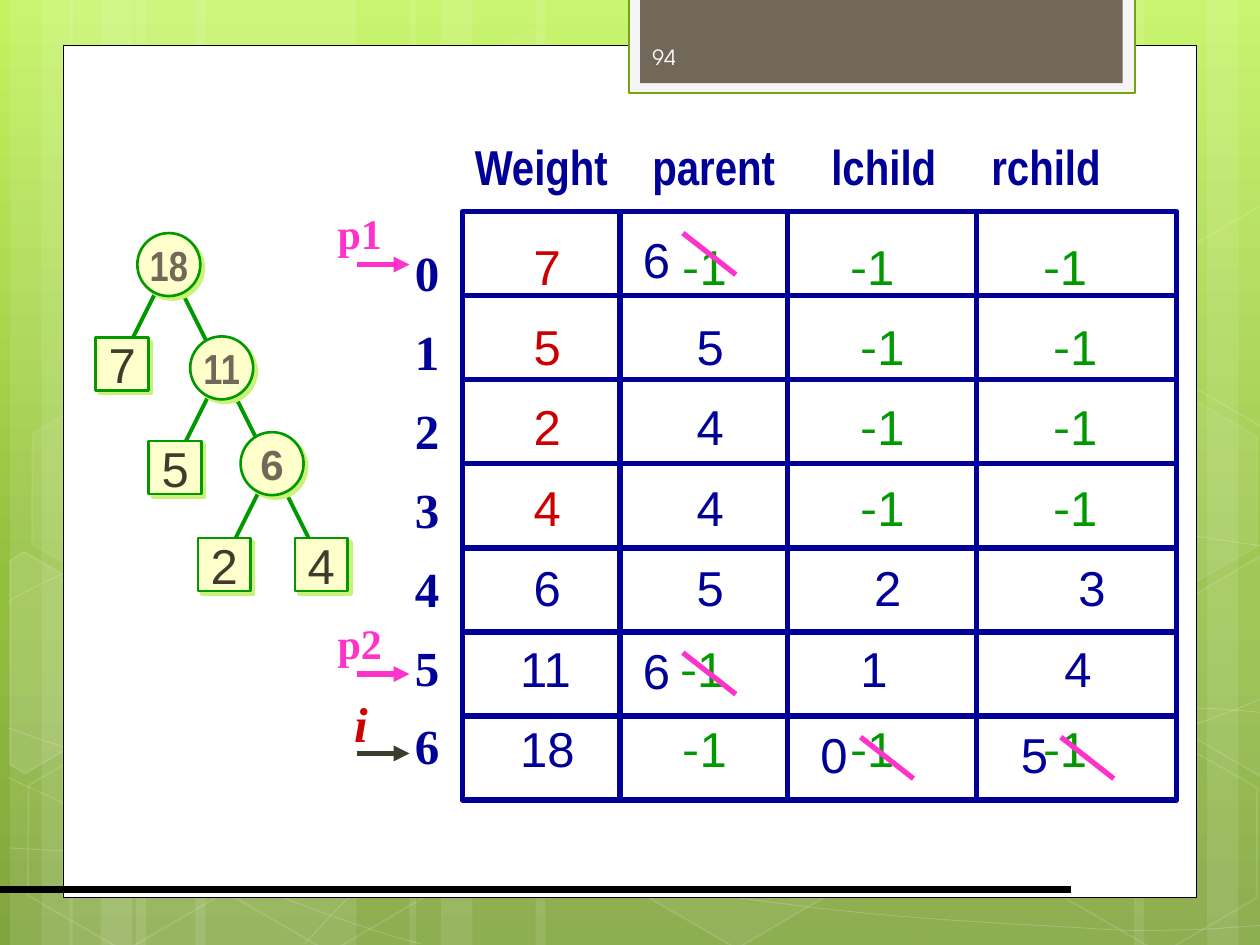
from lxml.etree import SubElement
from pptx import Presentation
from pptx.dml.color import RGBColor
from pptx.enum.shapes import MSO_CONNECTOR, MSO_SHAPE
from pptx.enum.text import MSO_ANCHOR, PP_ALIGN
from pptx.oxml.ns import qn
from pptx.util import Inches, Pt

NAVY, GREEN, RED, PINK, DARK, TAUPE = "000099", "009900", "CC0000", "FF33CC", "3E3D2D", "71685A"
WHITE, CREAM, LIME = "FFFFFF", "FFFFCC", "CAF278"

BACKGROUND = [(0, "C3F35F"), (62, "93BF3F"), (100, "81A53E")]
STRIPES = [(1.08, 1.75), (0.08, 0.5), (0.33, 0.83), (1.55, 1.75), (0.55, 0.5), (0.8, 0.83),
           (7.33, 1.75), (9.58, 0.5), (9, 0.83), (4.25, 3.08), (3.25, 0.5), (3.5, 0.83)]
CURVES = [
    [(0.07, 6.73), (0.61, 6.76), (1.15, 6.79), (1.9, 6.78), (2.65, 6.77), (3.58, 6.75), (4.58, 6.65),
     (5.58, 6.55), (7, 6.36), (7.92, 6.17), (8.83, 5.98), (9.77, 5.68), (10.07, 5.51)],
    [(0.07, 4.77), (0.36, 4.61), (0.65, 4.46), (1.21, 4.31), (1.78, 4.16), (2.59, 3.94), (3.47, 3.87),
     (4.36, 3.8), (5.44, 3.79), (6.54, 3.87), (7.64, 3.95), (9.47, 4.26), (10.07, 4.34)],
    [(0.06, 6.17), (1.27, 6.72), (2.47, 7.27), (3.34, 7.49)],
    [(0.07, 5.78), (0.38, 5.89), (0.7, 6), (1.28, 6.16), (1.86, 6.31), (2.73, 6.56), (3.57, 6.73),
     (4.4, 6.9), (5.45, 7.08), (6.28, 7.18), (7.11, 7.29), (8, 7.33), (8.53, 7.36),
     (9.05, 7.4), (9.19, 7.38), (9.45, 7.38), (9.71, 7.37), (9.89, 7.35), (10.07, 7.34)],
    [(2.42, 7.49), (2.6, 7.29), (2.78, 7.09), (3.02, 6.91), (3.26, 6.73), (3.6, 6.53), (3.88, 6.39),
     (4.16, 6.25), (4.33, 6.19), (4.7, 6.09), (5.06, 5.99), (5.73, 5.85), (6.08, 5.78),
     (6.44, 5.71), (6.49, 5.71), (6.8, 5.69), (7.11, 5.66), (7.6, 5.63), (7.94, 5.62),
     (8.29, 5.61), (8.86, 5.62), (8.86, 5.62), (9.1, 5.62), (9.3, 5.62), (9.53, 5.62),
     (9.71, 5.63), (9.88, 5.64), (10.06, 5.66)],
]
HEXAGONS = [(3.34, 0.36, 4, 8), (4.97, 5.89, 6, 12), (0.11, 5.91, 0, 12), (0.14, 3.12, 7, 8),
            (1.74, 5.92, 0, 12), (7.53, 4.53, 10, 12), (8.34, 5.93, 0, 12), (8.34, 3.14, 7, 8)]
CUT_HEXAGONS = [
    (10, [(0.08, 4.45), (0.19, 4.38), (0.96, 4.82), (0.95, 5.7), (0.2, 6.14), (0.08, 6.07)]),
    (4, [(9.26, 4.85), (10.01, 4.41), (10.09, 4.46), (10.09, 6.13), (10.02, 6.17), (9.26, 5.73)]),
    (0, [(9.26, 2.07), (10.01, 1.63), (10.1, 1.68), (10.09, 3.35), (10.02, 3.39), (9.26, 2.95)]),
]
PARENTS = [("18", 1.34, 2.1, "Arial Narrow"), ("11", 1.76, 2.92, "Arial Narrow"), ("6", 2.16, 3.68, "Arial")]
LEAVES = [("7", 0.97, 2.89), ("5", 1.39, 3.71), ("2", 1.78, 4.48), ("4", 2.55, 4.48)]

HEADERS, HEADER_TABS = ["Weight", "parent", "lchild", "rchild"], [1.41, 2.83, 4.1]
GRID_LEFT, GRID_TOP, GRID_WIDTH, GRID_HEIGHT = 3.67, 1.68, 5.67, 4.67
COLUMN_EDGES = [4.92, 6.25, 7.75]
EMPTY_TABS = [1.29, 2.62, 4.15]
LEAF_TABS = [1.4, 2.7, 4.23]
ROWS = [
    ([" 7", "-1", "-1", "-1"], EMPTY_TABS),
    ([" 5", "5", "-1", "-1"], LEAF_TABS),
    ([" 2", "4", "-1", "-1"], LEAF_TABS),
    ([" 4", "4", "-1", "-1"], LEAF_TABS),
    ([" 6", "5", "2", "3"], [1.4, 2.81, 4.43]),
    (["11", "-1", "1", "4"], [1.27, 2.7, 4.32]),
    (["18", "-1", "-1", "-1"], EMPTY_TABS),
]
LEAF_COUNT = 4
STRIKES = [(5.42, 1.85), (5.42, 5.18), (6.83, 5.85), (8.42, 5.85)]
UPDATES = [("6", 5, 1.77), ("6", 5, 5.03), ("0", 6.41, 5.7), ("5", 8, 5.7)]
POINTERS = [("p1", 2.58, 1.6, 0.55, 0.5, 24, PINK, PINK, 2.1),
            ("p2", 2.58, 4.85, 0.55, 0.5, 24, PINK, PINK, 5.35),
            ("i", 2.71, 5.45, 0.31, 0.57, 28, RED, DARK, 5.98)]

prs = Presentation()
prs.slide_width, prs.slide_height = Inches(10), Inches(7.5)
slide = prs.slides.add_slide(prs.slide_layouts[6])
shapes = slide.shapes


def rgb(color):
    return RGBColor.from_string(color)


def fade(shape, where, percent):
    for color in shape._element.spPr.xpath(where + "a:solidFill/a:srgbClr"):
        SubElement(color, qn("a:alpha")).set("val", str(percent * 1000))


def paint(shape, fill=None, line=None, width=1, fill_alpha=100, line_alpha=100):
    shape.shadow.inherit = False
    if fill and fill_alpha:
        shape.fill.solid()
        shape.fill.fore_color.rgb = rgb(fill)
    else:
        shape.fill.background()
    if line:
        shape.line.color.rgb = rgb(line)
        shape.line.width = Pt(width)
    else:
        shape.line.fill.background()
    if fill_alpha < 100:
        fade(shape, "./", fill_alpha)
    if line_alpha < 100:
        fade(shape, "./a:ln/", line_alpha)
    return shape


def preset(kind, x, y, w, h, *colors, **options):
    return paint(shapes.add_shape(kind, Inches(x), Inches(y), Inches(w), Inches(h)), *colors, **options)


def outline(points, close):
    builder = shapes.build_freeform(Inches(points[0][0]), Inches(points[0][1]))
    builder.add_line_segments([(Inches(x), Inches(y)) for x, y in points[1:]], close=close)
    return builder.convert_to_shape()


def curve(points):
    shape = outline(points, False)
    path = shape._element.spPr.xpath(".//a:path")[0]
    segments = path.findall(qn("a:lnTo"))
    for i in range(0, len(segments), 3):
        bezier = SubElement(path, qn("a:cubicBezTo"))
        for segment in segments[i:i + 3]:
            bezier.append(segment[0])
            path.remove(segment)
    return shape


def line(x1, y1, x2, y2, color, width, arrow=False):
    connector = shapes.add_connector(MSO_CONNECTOR.STRAIGHT, Inches(x1), Inches(y1), Inches(x2), Inches(y2))
    connector.line.color.rgb = rgb(color)
    connector.line.width = Pt(width)
    if arrow:
        SubElement(connector.line._get_or_add_ln(), qn("a:tailEnd")).set("type", "triangle")
    SubElement(connector._element.spPr, qn("a:effectLst"))


def add_run(paragraph, text, size, color, font="Arial", bold=False, italic=False):
    run = paragraph.add_run()
    run.text = text
    run.font.size, run.font.name = Pt(size), font
    run.font.bold, run.font.italic = bold, italic
    run.font.color.rgb = rgb(color)


def text_frame(x, y, w, h, wrap=False):
    frame = shapes.add_textbox(Inches(x), Inches(y), Inches(w), Inches(h)).text_frame
    frame.word_wrap, frame.vertical_anchor = wrap, MSO_ANCHOR.MIDDLE
    return frame


def next_paragraph(frame, i, align=PP_ALIGN.CENTER, spacing=None, before=0, tabs=()):
    paragraph = frame.add_paragraph() if i else frame.paragraphs[0]
    paragraph.alignment = align
    if spacing:
        paragraph.line_spacing = spacing
    properties = paragraph._p.get_or_add_pPr()
    if before:
        SubElement(SubElement(properties, qn("a:spcBef")), qn("a:spcPct")).set("val", str(before * 1000))
    if tabs:
        stops = SubElement(properties, qn("a:tabLst"))
        for position in tabs:
            SubElement(stops, qn("a:tab"), pos=str(Inches(position)), algn="l")
    return paragraph


def label(x, y, w, h, text, *style, align=PP_ALIGN.CENTER, **emphasis):
    add_run(next_paragraph(text_frame(x, y, w, h), 0, align), text, *style, **emphasis)


def node(kind, text, cx, cy, side, *style, **emphasis):
    shape = preset(kind, cx - side / 2, cy - side / 2, side, side, CREAM, GREEN, 1.5)
    effects = shape._element.spPr.find(qn("a:effectLst"))
    shadow = SubElement(effects, qn("a:outerShdw"), dist=str(Pt(2.8)), dir="2700000", algn="ctr")
    SubElement(shadow, qn("a:srgbClr")).set("val", LIME)
    frame = shape.text_frame
    frame.margin_left = frame.margin_right = frame.margin_top = frame.margin_bottom = 0
    frame.word_wrap, frame.vertical_anchor = False, MSO_ANCHOR.MIDDLE
    add_run(next_paragraph(frame, 0), text, *style, **emphasis)


backdrop = slide.background.fill
backdrop.gradient()
backdrop.gradient_angle = 270
gradient = slide._element.xpath(".//p:bg//a:gsLst")[0]
for stop in list(gradient):
    gradient.remove(stop)
for position, color in BACKGROUND:
    SubElement(SubElement(gradient, qn("a:gs"), pos=str(position * 1000)), qn("a:srgbClr")).set("val", color)

for x, w in STRIPES:
    preset(MSO_SHAPE.RECTANGLE, x, 0, w, 7.5, WHITE, fill_alpha=10)
for points in CURVES:
    paint(curve(points), None, WHITE, 0.5, line_alpha=20)
for x, y, fill_alpha, line_alpha in HEXAGONS:
    hexagon = preset(MSO_SHAPE.HEXAGON, x, y, 1.75, 1.52, WHITE, WHITE,
                     fill_alpha=fill_alpha, line_alpha=line_alpha)
    hexagon.adjustments[0], hexagon.adjustments[1] = 0.285, 1.155
    hexagon.rotation = 30
for fill_alpha, points in CUT_HEXAGONS:
    paint(outline(points, True), WHITE, WHITE, fill_alpha=fill_alpha, line_alpha=12)

preset(MSO_SHAPE.RECTANGLE, 0.5, 0.36, 9, 6.76, WHITE, "000000", 0.5)
preset(MSO_SHAPE.RECTANGLE, 4.99, -0.02, 4.02, 0.76, "F5F5F5", "74A510", 1.25)
preset(MSO_SHAPE.RECTANGLE, 5.08, -0.02, 3.83, 0.68, TAUPE)
line(0, 7.06, 8.5, 7.06, "000000", 4.5)
label(5.08, 0.25, 1.46, 0.4, "94", 12, "FEFEFE", "TeX Gyre Adventor", align=PP_ALIGN.LEFT)

for _, cx, cy, _ in PARENTS:
    for side in (-1, 1):
        line(cx + side * 0.08, cy + 0.17, cx + side * 0.33, cy + 0.67, GREEN, 2.25)
for text, cx, cy, font in PARENTS:
    node(MSO_SHAPE.OVAL, text, cx, cy, 0.5, 24, TAUPE, font, bold=True)
for text, cx, cy in LEAVES:
    node(MSO_SHAPE.RECTANGLE, text, cx, cy, 0.42, 28, DARK)

preset(MSO_SHAPE.RECTANGLE, GRID_LEFT, GRID_TOP, GRID_WIDTH, GRID_HEIGHT, None, NAVY, 3)
for x in COLUMN_EDGES:
    line(x, GRID_TOP, x, GRID_TOP + GRID_HEIGHT, NAVY, 3)
for r in range(1, len(ROWS)):
    y = GRID_TOP + r * GRID_HEIGHT / len(ROWS)
    line(GRID_LEFT, y, GRID_LEFT + GRID_WIDTH, y, NAVY, 3)

header = next_paragraph(text_frame(GRID_LEFT, 1.03, 5.17, 0.57, True), 0, PP_ALIGN.LEFT, tabs=HEADER_TABS)
add_run(header, "\t".join(HEADERS), 28, NAVY, "Arial Narrow", bold=True)

cells = text_frame(4.03, 1.68, 4.9, 4.59, True)
indices = text_frame(3.19, 1.77, 0.4, 4.51)
for r, (values, tabs) in enumerate(ROWS):
    row = next_paragraph(cells, r, PP_ALIGN.LEFT, 1.2, 20, tabs)
    for c, text in enumerate(values):
        gap = "\t" if c < len(values) - 1 else ""
        if text == "-1":
            add_run(row, "-", 28, GREEN, "Noto Sans CJK SC")
            add_run(row, "1" + gap, 28, GREEN)
        else:
            add_run(row, text + gap, 28, RED if c == 0 and r < LEAF_COUNT else NAVY)
    add_run(next_paragraph(indices, r, spacing=1.05, before=35), str(r), 28, NAVY, "Times New Roman", bold=True)

for text, x, y, w, h, size, color, arrow_color, arrow_y in POINTERS:
    line(2.83, arrow_y, 3.25, arrow_y, arrow_color, 3, arrow=True)
    label(x, y, w, h, text, size, color, "Times New Roman", bold=True, italic=text == "i")
for x, y in STRIKES:
    line(x, y, x + 0.42, y + 0.33, PINK, 3)
for text, x, y in UPDATES:
    label(x, y, 0.42, 0.57, text, 28, NAVY)

prs.save("out.pptx")
